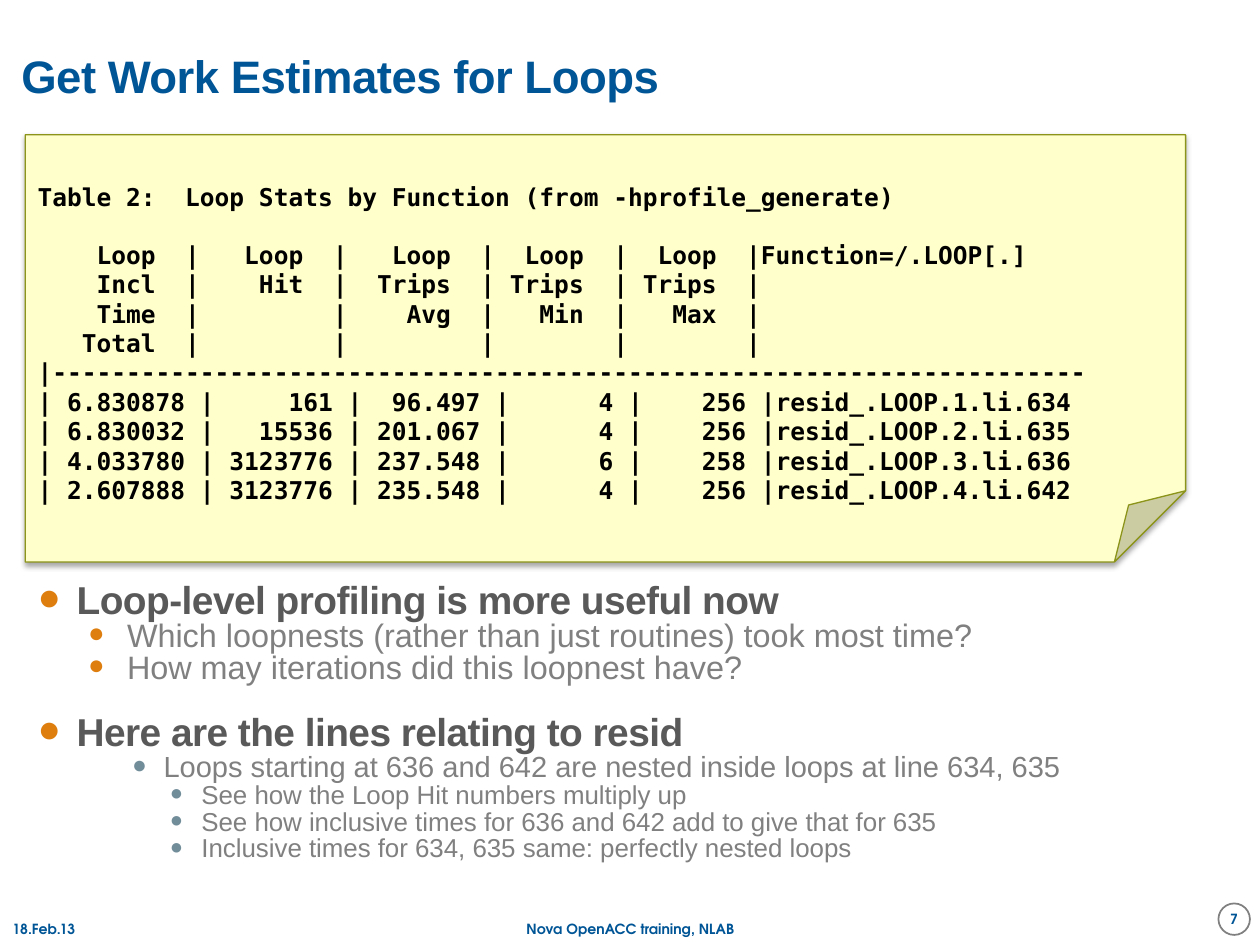
"""Build the slide on work estimates for loops."""
import pptx
import pptx.dml.color
import pptx.enum.shapes
import pptx.enum.text
import pptx.oxml
import pptx.oxml.ns
import pptx.util

PX = 9144
BLUE, ORANGE, SLATE, DARK, GREY = "005596", "DD7E0E", "728D9A", "595959", "808080"
ALIGN = pptx.enum.text.PP_ALIGN
ANCHOR = pptx.enum.text.MSO_ANCHOR
SHAPE = pptx.enum.shapes.MSO_SHAPE


def colour(value):
    return pptx.dml.color.RGBColor.from_string(value)


def write(box, text, size=14, font="Arial", ink=BLUE, bold=True, align=ALIGN.LEFT,
          tracking=0, leading=1.0, before=0, after=0, indent=0, hang=0,
          bullet=None, bullet_size=100, level=0):
    frame = box.text_frame
    para = frame.paragraphs[0] if not frame.text else frame.add_paragraph()
    para.alignment, para.line_spacing, para.level = align, leading, level
    para.space_before, para.space_after = pptx.util.Pt(before), pptx.util.Pt(after)
    span = para.add_run()
    span.text = text
    span.font.size, span.font.name, span.font.bold = pptx.util.Pt(size), font, bold
    span.font.color.rgb = colour(ink)
    if tracking:
        span.font._element.set("spc", str(round(tracking * 100)))
    if bullet:
        settings = para._p.get_or_add_pPr()
        settings.set("marL", str(indent * PX))
        settings.set("indent", str(-hang * PX))
        space = pptx.oxml.ns.nsdecls("a")
        for markup in (f'<a:buClr {space}><a:srgbClr val="{bullet}"/></a:buClr>',
                       f'<a:buSzPct {space} val="{bullet_size * 1000}"/>',
                       f'<a:buFont {space} typeface="Arial"/>',
                       f'<a:buChar {space} char="●"/>'):
            settings.append(pptx.oxml.parse_xml(markup))


deck = pptx.Presentation()
deck.slide_width, deck.slide_height = 1000 * PX, 750 * PX
page = deck.slides.add_slide(deck.slide_layouts[6])

shapes = []
for kind, area, fill, line, width in (
        (SHAPE.FOLDED_CORNER, (20, 107, 921, 339), "FFFFCC", "8C941A", 0.75),
        (SHAPE.OVAL, (967, 717, 25, 25), "FFFFFF", GREY, 1)):
    shape = page.shapes.add_shape(kind, *(length * PX for length in area))
    shape.shadow.inherit = False
    shape.fill.solid()
    shape.fill.fore_color.rgb = colour(fill)
    shape.line.color.rgb = colour(line)
    shape.line.width = pptx.util.Pt(width)
    shapes.append(shape)
note, badge = shapes

effects = note._element.spPr.find(pptx.oxml.ns.qn("a:effectLst"))
effects.append(pptx.oxml.parse_xml(
    f'<a:outerShdw {pptx.oxml.ns.nsdecls("a")} blurRad="39400" dist="22900" dir="5400000" '
    'rotWithShape="0"><a:srgbClr val="000000"><a:alpha val="35000"/></a:srgbClr></a:outerShdw>'))

boxes = []
for area in ((17, 17, 800, 92), (20, 462, 958, 241), (0, 725, 233, 25), (342, 725, 317, 25)):
    boxes.append(page.shapes.add_textbox(*(length * PX for length in area)))
title, body, date, footer = boxes

for box in shapes + boxes:
    box.text_frame.word_wrap = True
    box.text_frame.vertical_anchor = ANCHOR.TOP if box is body else ANCHOR.MIDDLE
for frame in (title.text_frame, badge.text_frame):
    frame.margin_left = frame.margin_right = frame.margin_top = frame.margin_bottom = 0
note.text_frame.margin_top, note.text_frame.margin_bottom = 48 * PX, 0

write(title, "Get Work Estimates for Loops", size=26, tracking=-0.3, leading=0.85)

widths = (8, 7, 7, 6, 6)
headings = (
    ("Loop", "Loop", "Loop", "Loop", "Loop", "Function=/.LOOP[.]"),
    ("Incl", "Hit", "Trips", "Trips", "Trips", ""),
    ("Time", "", "Avg", "Min", "Max", ""),
    ("Total", "", "", "", "", ""))
loops = (
    ("6.830878", "161", "96.497", "4", "256", "resid_.LOOP.1.li.634"),
    ("6.830032", "15536", "201.067", "4", "256", "resid_.LOOP.2.li.635"),
    ("4.033780", "3123776", "237.548", "6", "258", "resid_.LOOP.3.li.636"),
    ("2.607888", "3123776", "235.548", "4", "256", "resid_.LOOP.4.li.642"))
listing = ["".join(f"{cell:>{width}}  |" for cell, width in zip(row, widths)) + row[-1]
           for row in headings]
listing.append("|" + "-" * 70)
listing += ["|" + "".join(f"{cell:>{width + 1}} |" for cell, width in zip(row, widths)) + row[-1]
            for row in loops]
code = {"font": "DejaVu Sans Mono", "ink": "000000"}
write(note, "Table 2:  Loop Stats by Function (from -hprofile_generate)", after=16.5, **code)
for text in listing:
    write(note, text, **code)

levels = (
    {"size": 22.2, "ink": DARK, "tracking": -0.3, "indent": 31, "hang": 31, "bullet": ORANGE},
    {"size": 18.5, "indent": 71, "hang": 31, "bullet": ORANGE},
    {"size": 16.6, "indent": 100, "hang": 25, "bullet": SLATE},
    {"size": 14.8, "indent": 130, "hang": 25, "bullet": SLATE})
for level, before, text in (
        (0, 1.5, "Loop-level profiling is more useful now"),
        (1, 1.5, "Which loopnests (rather than just routines) took most time?"),
        (1, 1.5, "How may iterations did this loopnest have?"),
        (0, 19, "Here are the lines relating to resid"),
        (2, 1.5, "Loops starting at 636 and 642 are nested inside loops at line 634, 635"),
        (3, 1.5, "See how the Loop Hit numbers multiply up"),
        (3, 1.5, "See how inclusive times for 636 and 642 add to give that for 635"),
        (3, 1.5, "Inclusive times for 634, 635 same: perfectly nested loops")):
    style = {"ink": GREY, "bold": level == 0, "bullet_size": 85 if level else 100, **levels[level]}
    write(body, text, level=level, leading=0.69, before=before, after=1.5, **style)

for box, text, align in ((badge, "7", ALIGN.CENTER), (date, "18.Feb.13", ALIGN.LEFT),
                         (footer, "Nova OpenACC training, NLAB", ALIGN.CENTER)):
    write(box, text, size=8, font="TeX Gyre Adventor", align=align)

deck.save("out.pptx")
